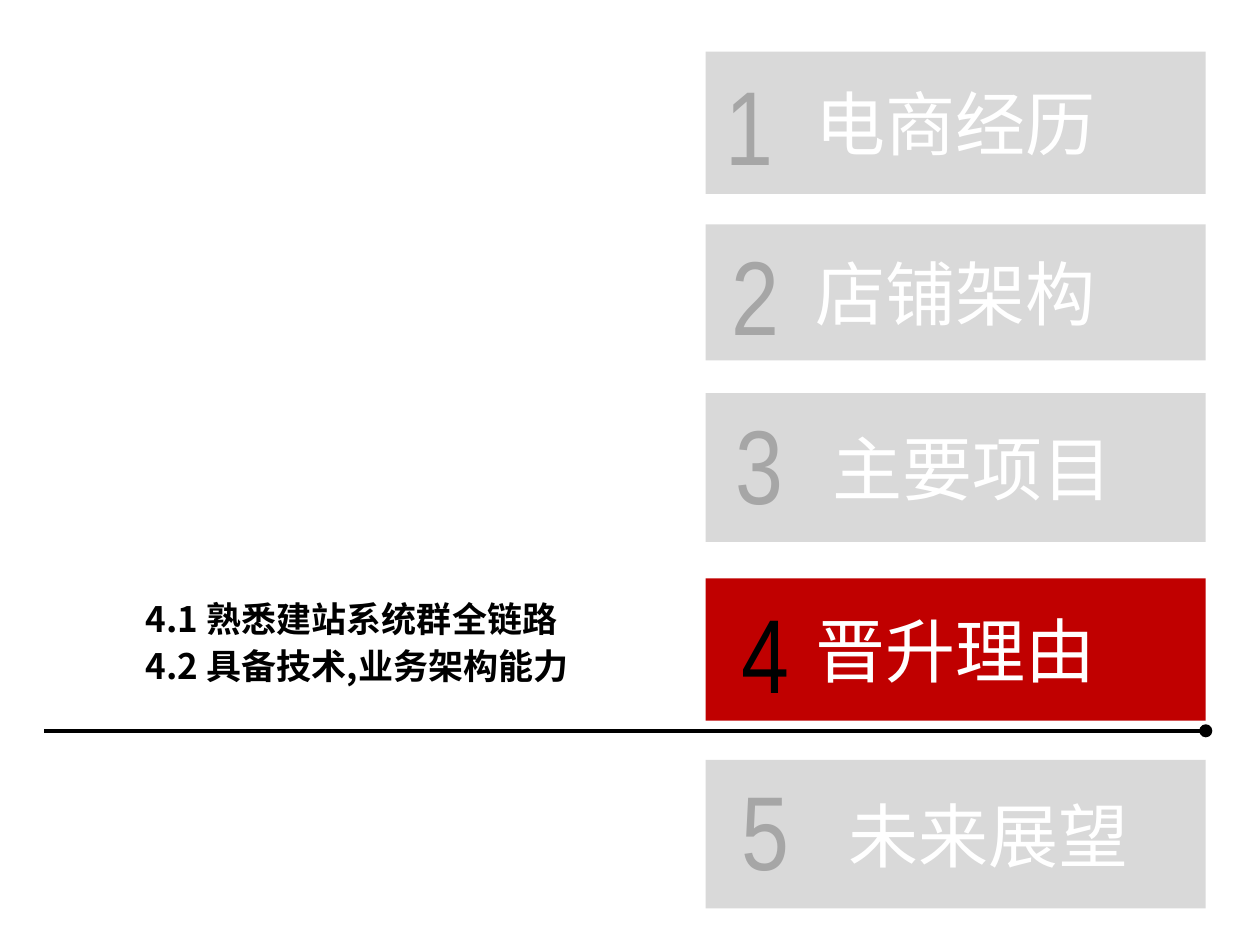
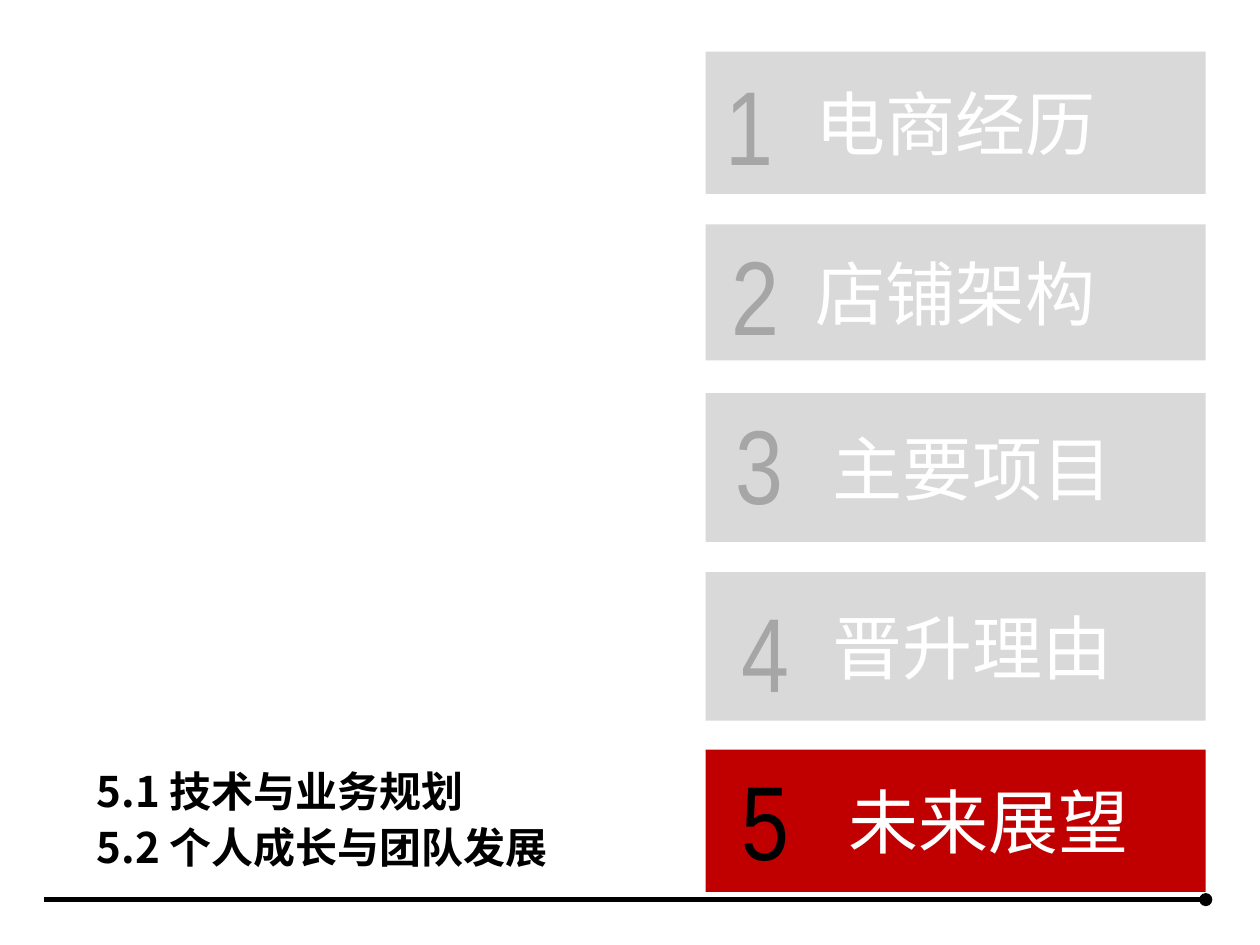
from pptx import Presentation
from pptx.dml.color import RGBColor
from pptx.enum.shapes import MSO_CONNECTOR as Link, MSO_SHAPE as Kind
from pptx.enum.text import MSO_ANCHOR as Anchor, PP_ALIGN as Align
from pptx.oxml.ns import qn
from pptx.util import Inches, Pt
from lxml.etree import SubElement

RED, BLACK, WHITE = "C00000", "000000", "FFFFFF"
PALE, GREY = "D9D9D9", "A6A6A6"
LEFT, WIDTH = 5.6, 3.97
NAMES = ["电商经历", "店铺架构", "主要项目", "晋升理由", "未来展望"]
DIGIT_X = [5.66, 5.71, 5.74, 5.79, 5.79]
TOP_BARS = [(0.41, 1.13, 0.43, 0), (1.78, 1.08, 1.78, 0), (3.12, 1.18, 3.12, 0.26)]


def color(code):
    """Turn a hex string into a colour."""
    return RGBColor.from_string(code)


def style(para, text, face, size, code, bold=False):
    """Fill a paragraph and set its font."""
    para.text = text
    font = para.font
    font.name, font.size, font.bold = face, Pt(size), bold
    font.color.rgb = color(code)


def add_box(slide, x, y, w, h):
    """Add a wrapping text box and return its frame."""
    frame = slide.shapes.add_textbox(*map(Inches, (x, y, w, h))).text_frame
    frame.word_wrap = True
    return frame


def add_rule(slide, y):
    """Draw the black line that ends in a dot."""
    ends = map(Inches, (0.35, y, LEFT + WIDTH, y))
    rule = slide.shapes.add_connector(Link.STRAIGHT, *ends)
    rule.line.width = Pt(2.5)
    rule.line.color.rgb = color(BLACK)
    SubElement(rule.line._get_or_add_ln(), qn("a:tailEnd"), type="oval")
    SubElement(rule._element.spPr, qn("a:effectLst"))


def add_bar(slide, name, y, h, shift, live):
    """Draw one chapter bar, its text pushed right by a wider inset."""
    bar = slide.shapes.add_shape(Kind.RECTANGLE, *map(Inches, (LEFT, y, WIDTH, h)))
    bar.shadow.inherit = False
    bar.fill.solid()
    bar.fill.fore_color.rgb = color(RED if live else PALE)
    bar.line.fill.background()
    frame = bar.text_frame
    frame.vertical_anchor = Anchor.MIDDLE
    frame.margin_left = Inches(0.1 + shift)
    para = frame.paragraphs[0]
    para.alignment = Align.CENTER
    style(para, name, "Calibri", 40, WHITE)


def add_digit(slide, index, y, live):
    """Write the chapter number over its bar."""
    frame = add_box(slide, DIGIT_X[index], y, 0.68, 1.11)
    style(frame.paragraphs[0], str(index + 1), "Arial Narrow", 60,
          BLACK if live else GREY)


def add_points(slide, place, size, points):
    """List the sections of the live chapter."""
    frame = add_box(slide, *place)
    for i, text in enumerate(points):
        para = frame.add_paragraph() if i else frame.paragraphs[0]
        style(para, text, "Noto Sans CJK SC", size, BLACK, True)
        para.space_after = Pt(3)
        props = para._p.get_or_add_pPr()
        props.set("marL", str(Inches(0.77)))
        props.set("indent", str(Inches(-0.38)))


def add_agenda(deck, live, low_bars, rule, place, size, points):
    """Build one agenda slide with one chapter lit."""
    slide = deck.slides.add_slide(deck.slide_layouts[6])
    add_rule(slide, rule)
    for i, (y, h, digit, shift) in enumerate(TOP_BARS + low_bars):
        add_bar(slide, NAMES[i], y, h, shift, i + 1 == live)
        add_digit(slide, i, digit, i + 1 == live)
    add_points(slide, place, size, points)


def main():
    """Build and save the deck."""
    deck = Presentation()
    deck.slide_width, deck.slide_height = Inches(10), Inches(7.5)
    add_agenda(deck, 4, [(4.59, 1.13, 4.62, 0), (6.03, 1.18, 6.03, 0.52)],
               5.8, (0.67, 4.69, 4.57, 0.91), 20,
               ["4.1 熟悉建站系统群全链路", "4.2 具备技术,业务架构能力"])
    add_agenda(deck, 5, [(4.54, 1.18, 4.61, 0.26), (5.95, 1.13, 5.95, 0.52)],
               7.14, (0.28, 6.03, 5.43, 1.07), 24,
               ["5.1 技术与业务规划", "5.2 个人成长与团队发展"])
    deck.save("out.pptx")


main()
